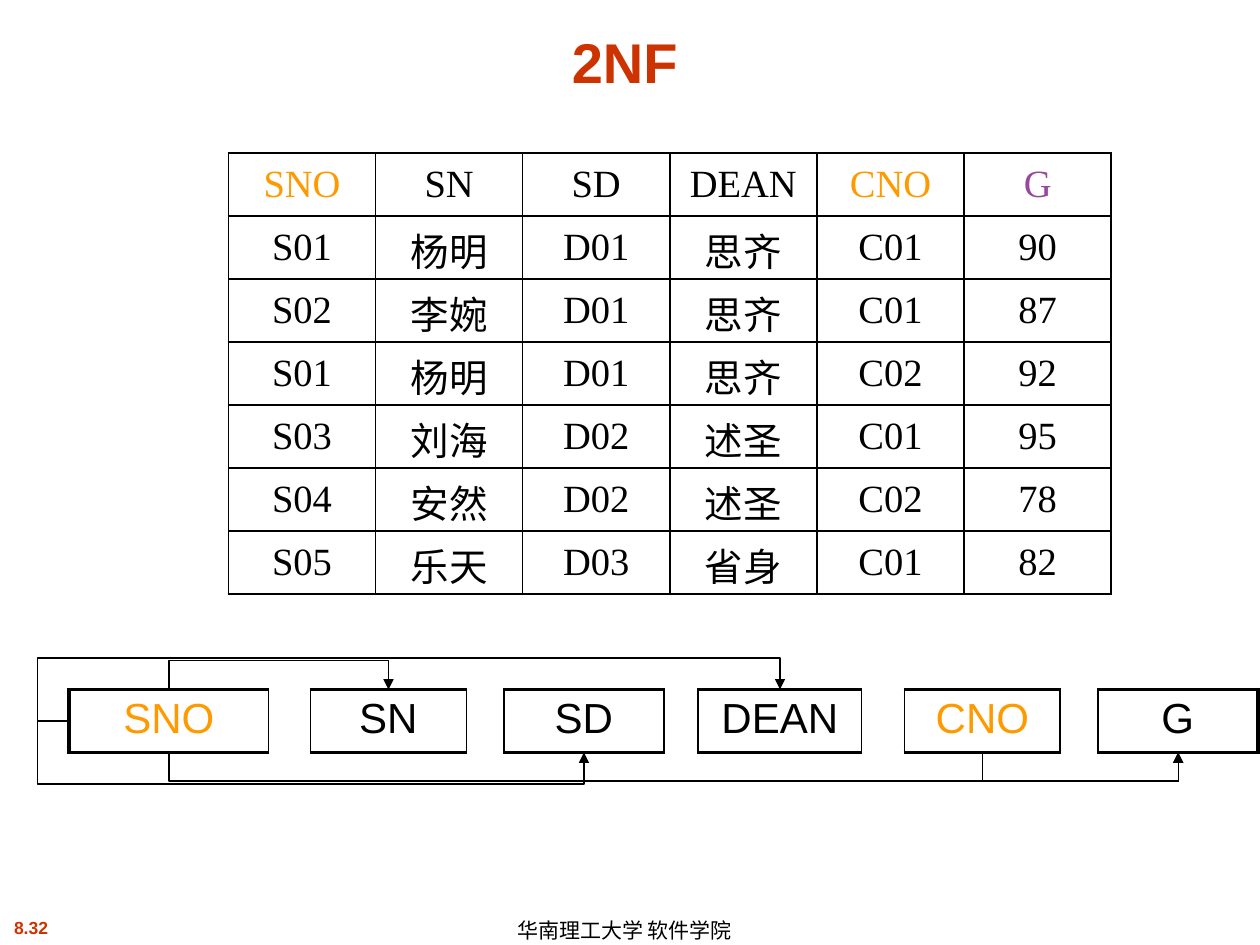
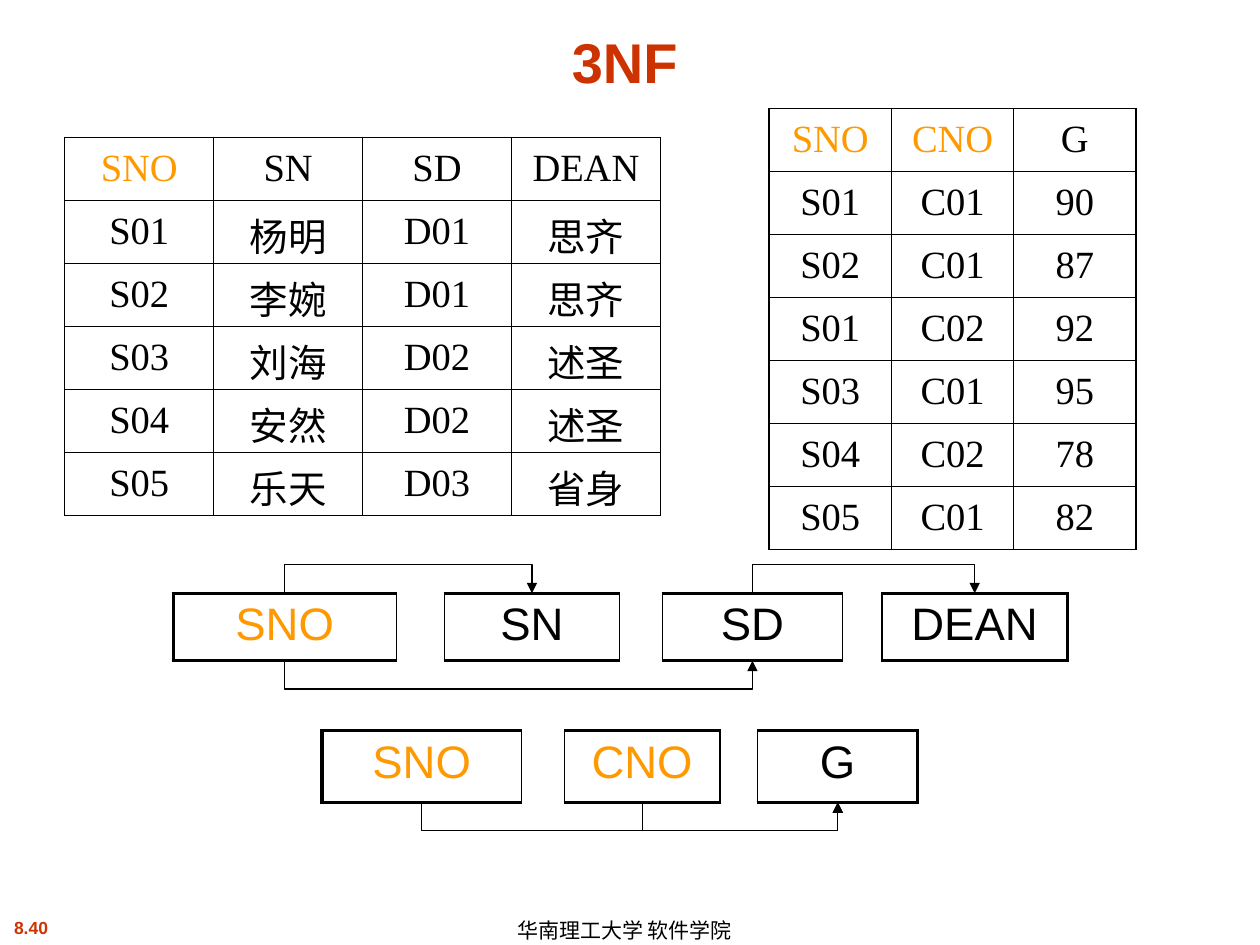
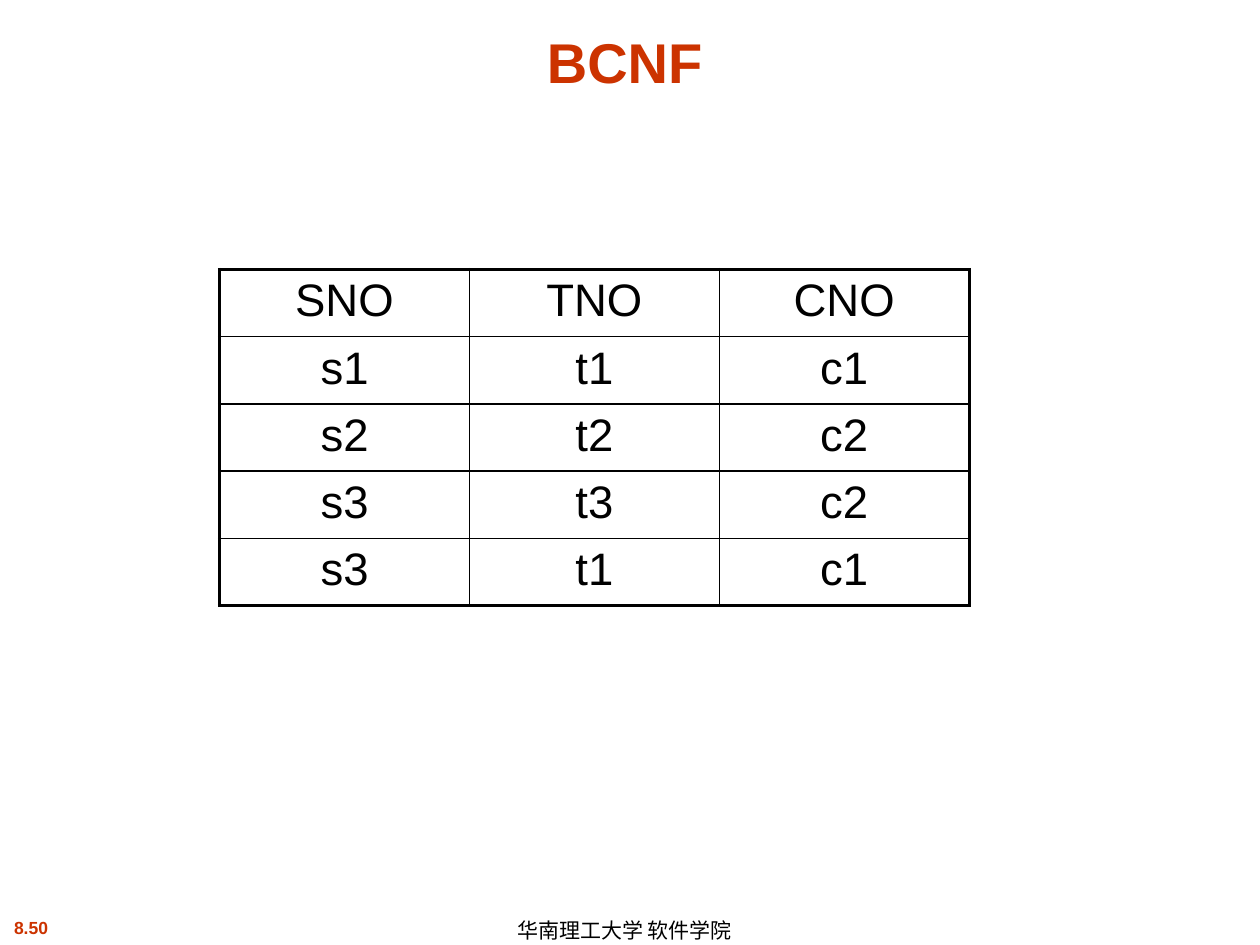
from pptx import Presentation
from pptx.dml.color import RGBColor
from pptx.enum.shapes import MSO_CONNECTOR
from pptx.enum.text import MSO_ANCHOR, PP_ALIGN
from pptx.oxml.ns import qn
from pptx.util import Pt
from lxml import etree

ELBOW = MSO_CONNECTOR.ELBOW
TOP, MIDDLE, BOTTOM = MSO_ANCHOR.TOP, MSO_ANCHOR.MIDDLE, MSO_ANCHOR.BOTTOM
LEFT, CENTER = PP_ALIGN.LEFT, PP_ALIGN.CENTER

RED, ORANGE, PURPLE, BLACK = "CC3300", "FF9900", "98469E", "000000"
SANS, SERIF = "Arial", "Times New Roman"
KEY_COLORS = {"SNO": ORANGE, "CNO": ORANGE}
FOOTER = "华南理工大学 软件学院"
THICK, THIN = 2.25, 1
REACH = 18
SLIVER = 0.125

RECORDS = [
    ("SNO", "SN", "SD", "DEAN", "CNO", "G"),
    ("S01", "杨明", "D01", "思齐", "C01", "90"),
    ("S02", "李婉", "D01", "思齐", "C01", "87"),
    ("S01", "杨明", "D01", "思齐", "C02", "92"),
    ("S03", "刘海", "D02", "述圣", "C01", "95"),
    ("S04", "安然", "D02", "述圣", "C02", "78"),
    ("S05", "乐天", "D03", "省身", "C01", "82"),
]
TEACHING = [
    ("SNO", "TNO", "CNO"),
    ("s1", "t1", "c1"),
    ("s2", "t2", "c2"),
    ("s3", "t3", "c2"),
    ("s3", "t1", "c1"),
]


def rgb(color):
    return RGBColor.from_string(color)


def project(names):
    picks = [RECORDS[0].index(name) for name in names]
    return list(dict.fromkeys(tuple(row[i] for i in picks) for row in RECORDS))


def write(tf, text, size, color, font=SANS, bold=False, align=CENTER):
    p = tf.paragraphs[0]
    p.alignment = align
    r = p.add_run()
    r.text = text
    r.font.size = Pt(size)
    r.font.name = font
    r.font.bold = bold
    r.font.color.rgb = rgb(color)
    return p


def label(s, box, text, size, color, anchor=TOP, bold=False, align=CENTER):
    tf = s.shapes.add_textbox(*map(Pt, box)).text_frame
    tf.word_wrap = False
    tf.vertical_anchor = anchor
    return write(tf, text, size, color, bold=bold, align=align)


def new_slide(prs, title, number):
    s = prs.slides.add_slide(prs.slide_layouts[5])
    sp = s.shapes.title
    sp.left, sp.top, sp.width, sp.height = map(Pt, (18, 9.5, 678, 48))
    sp.text_frame.word_wrap = True
    sp.text_frame.vertical_anchor = BOTTOM
    write(sp.text_frame, title, 32, RED, bold=True)
    label(s, (0, 520.5, 35.5, 19.5), number, 10, RED, bold=True)
    p = label(s, (288.5, 522, 161.5, 18), FOOTER, 12, BLACK, MIDDLE, align=LEFT)
    p.line_spacing = 1.1
    return s


def set_borders(cell, left, right, top, bottom):
    tcPr = cell._tc.get_or_add_tcPr()
    for side, width in zip("LRTB", (left, right, top, bottom)):
        ln = etree.SubElement(tcPr, qn(f"a:ln{side}"), w=str(Pt(width)))
        if width:
            fill = etree.SubElement(ln, qn("a:solidFill"))
            etree.SubElement(fill, qn("a:srgbClr"), val=BLACK)
        else:
            etree.SubElement(ln, qn("a:noFill"))
    cell.fill.background()


def new_table(s, x, y, widths, row_height, rows):
    shape = s.shapes.add_table(rows, len(widths), Pt(x), Pt(y),
                               Pt(sum(widths)), Pt(row_height * rows))
    table = shape.table
    table.first_row = table.horz_banding = False
    for column, width in zip(table.columns, widths):
        column.width = Pt(width)
    return table


def data_table(s, x, y, col_width, row_height, rows, size, font=SERIF,
               colors=KEY_COLORS, anchor=MIDDLE, edge=THIN):
    last_row, last_col = len(rows) - 1, len(rows[0]) - 1
    table = new_table(s, x, y, [col_width] * len(rows[0]), row_height, len(rows))
    for i, row in enumerate(rows):
        for j, text in enumerate(row):
            cell = table.cell(i, j)
            cell.vertical_anchor = anchor
            write(cell.text_frame, text, size, colors.get(text, BLACK), font)
            set_borders(cell, *(edge if outer else THIN for outer in
                                (j == 0, j == last_col, i == 0, i == last_row)))


def attribute_row(s, x, y, names, widths, row_height, size):
    table = new_table(s, x, y, widths, row_height, 1)
    last = len(widths) - 1
    centers = {}
    for j, width in enumerate(widths):
        cell = table.cell(0, j)
        if j % 2:
            set_borders(cell, THIN, THIN, 0, 0)
        else:
            name = names[j // 2]
            write(cell.text_frame, name, size, KEY_COLORS.get(name, BLACK))
            set_borders(cell, THICK if j == 0 else THIN,
                        THICK if j == last else THIN, THICK, THICK)
            centers[name] = x + sum(widths[:j]) + width / 2
    return centers


def elbow(s, x1, y1, x2, y2, preset, adjustments, rotation=0):
    c = s.shapes.add_connector(ELBOW, *map(Pt, (x1, y1, x2, y2)))
    c.line.color.rgb = rgb(BLACK)
    c.line.width = Pt(0.75)
    etree.SubElement(c.line._get_or_add_ln(), qn("a:tailEnd"), type="triangle")
    spPr = c._element.spPr
    etree.SubElement(spPr, qn("a:effectLst"))
    if rotation:
        spPr.find(qn("a:xfrm")).set("rot", str(rotation * 60000))
    geom = spPr.find(qn("a:prstGeom"))
    geom.set("prst", preset)
    avLst = geom.find(qn("a:avLst"))
    for i, value in enumerate(adjustments, 1):
        name = f"adj{i}" if len(adjustments) > 1 else "adj1"
        etree.SubElement(avLst, qn("a:gd"), name=name,
                         fmla=f"val {round(value * 100000)}")


def arrow_over(s, x1, x2, y):
    mid, half, thin = (x1 + x2) / 2, (x2 - x1) / 2, SLIVER / 2
    elbow(s, mid - thin, y + half, mid + thin, y - half,
          "bentConnector3", [-REACH / SLIVER], 90)


def arrow_under(s, x1, x2, y):
    mid, half, thin = (x1 + x2) / 2, (x2 - x1) / 2, SLIVER / 2
    elbow(s, mid + thin, y - half, mid - thin, y + half,
          "bentConnector3", [REACH / SLIVER], 270)


def arrow_around(s, x1, y1, x2, y2):
    elbow(s, x1, y1, x2, y2, "bentConnector4",
          [-REACH / (x2 - x1), 1 + REACH / abs(y2 - y1)])


def second_form(prs):
    s = new_slide(prs, "2NF", "8.32")
    x, y, height = 39.5, 394, 36
    widths = [114, 24, 89, 21.5, 91.5, 19.5, 93.5, 24.5, 89, 21.5, 91.5]
    at = attribute_row(s, x, y, RECORDS[0], widths, height / 2, 24)
    arrow_over(s, at["SNO"], at["SN"], y)
    for source in ("SNO", "CNO"):
        arrow_under(s, at[source], at["G"], y + height)
    arrow_around(s, x, y + height / 2, at["SD"], y + height)
    arrow_around(s, x, y + height / 2, at["DEAN"], y)
    data_table(s, 130.5, 87.5, 84.1, 36, RECORDS, 22,
               colors={**KEY_COLORS, "G": PURPLE})


def third_form(prs):
    s = new_slide(prs, "3NF", "8.40")
    student, grade = ("SNO", "SN", "SD", "DEAN"), ("SNO", "CNO", "G")
    data_table(s, 37, 78.5, 85.1, 36, project(student), 22)
    data_table(s, 439.5, 62, 69.9, 36, project(grade), 22)

    y, height = 339, 38.5
    widths = [127.5, 27.5, 100, 24.5, 103, 22.5, 106]
    at = attribute_row(s, 99, y, student, widths, height, 26)
    arrow_over(s, at["SNO"], at["SN"], y)
    arrow_over(s, at["SD"], at["DEAN"], y)
    arrow_under(s, at["SNO"], at["SD"], y + height)

    y, height = 417.5, 41
    widths = [114, 24.5, 89, 21.5, 91.5]
    at = attribute_row(s, 184, y, grade, widths, height, 26)
    for source in ("SNO", "CNO"):
        arrow_under(s, at[source], at["G"], y + height)


def boyce_codd_form(prs):
    s = new_slide(prs, "BCNF", "8.50")
    data_table(s, 125.5, 154, 142.8, 38, TEACHING, 26, SANS, {}, TOP, THICK)


def main():
    prs = Presentation()
    prs.slide_width, prs.slide_height = Pt(720), Pt(540)
    second_form(prs)
    third_form(prs)
    boyce_codd_form(prs)
    prs.save("out.pptx")


if __name__ == "__main__":
    main()
